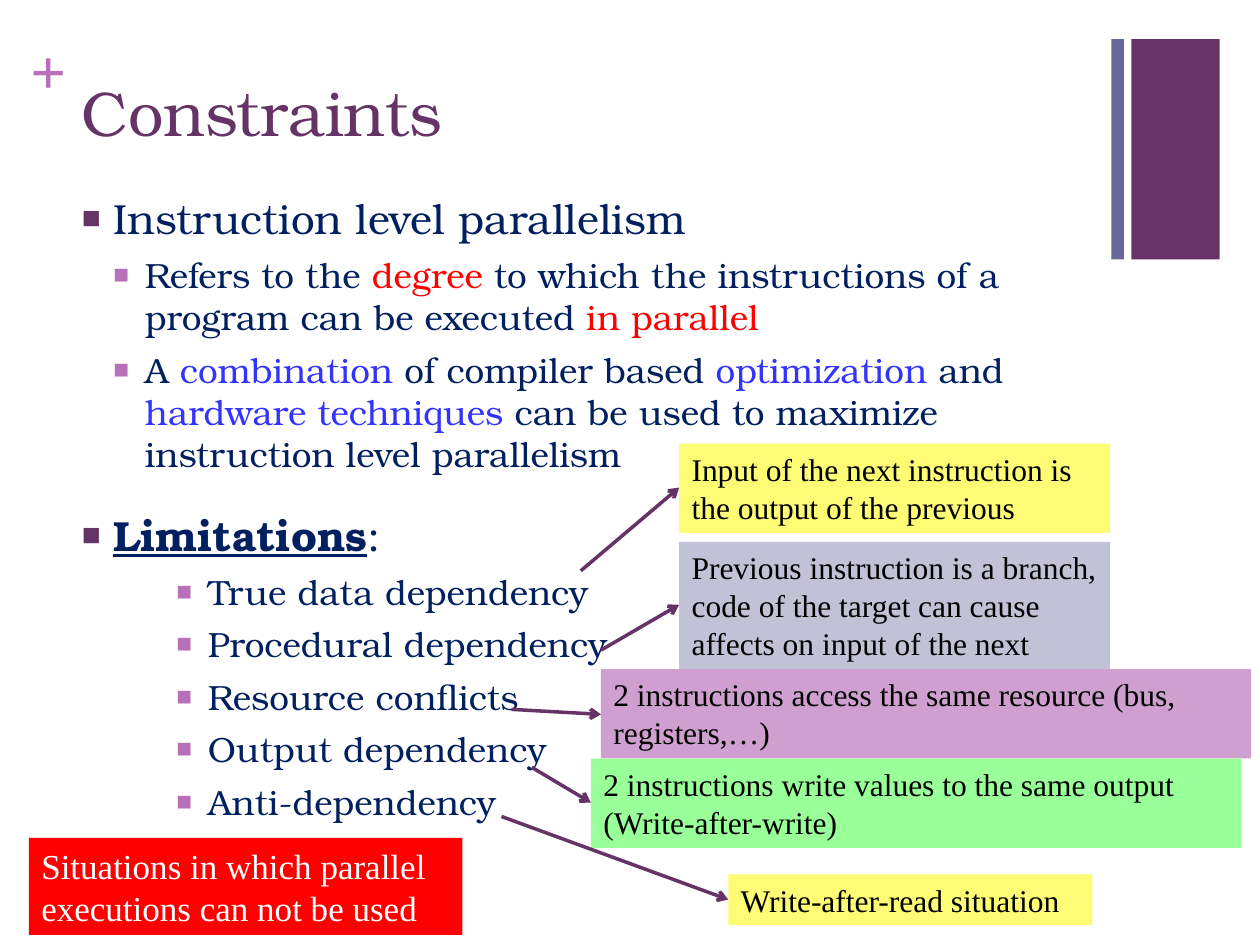
from dataclasses import dataclass
from typing import Optional

from lxml import etree
from pptx import Presentation
from pptx import util as u
from pptx.dml.color import RGBColor
from pptx.enum import shapes, text
from pptx.oxml import ns

PX = 9144  # EMU in one px, 100 px to the inch
SERIF, TIMES = "TeX Gyre Bonum", "Times New Roman"
COLORS = {
    "plum": "663366", "slate": "666699", "orchid": "B870B8", "navy": "002060",
    "red": "FF0000", "blue": "3333FF", "yellow": "FEFC75", "lavender": "C2C2D6",
    "mauve": "CFA0CF", "green": "99FF99", "black": "000000", "white": "FFFFFF",
}


@dataclass(frozen=True)
class Span:
    text: str
    color: str = "navy"
    strong: bool = False


@dataclass(frozen=True)
class Item:
    level: int
    spans: tuple[Span, ...]


@dataclass(frozen=True)
class Callout:
    text: str
    area: tuple[int, int, int, int]
    fill: str
    arrow: Optional[tuple[int, int, int, int]] = None
    color: str = "black"
    size: int = 18


LIMITATIONS = ("True data dependency", "Procedural dependency", "Resource conflicts",
               "Output dependency", "Anti-dependency")
ITEMS = [
    Item(0, (Span("Instruction level parallelism"),)),
    Item(1, (Span("Refers to the "), Span("degree", "red"),
             Span(" to which the instructions of a program can be executed "),
             Span("in parallel", "red"))),
    Item(1, (Span("A "), Span("combination ", "blue"), Span("of compiler based "),
             Span("optimization", "blue"), Span(" and "),
             Span("hardware techniques ", "blue"),
             Span("can be used to maximize instruction level parallelism"))),
    Item(0, (Span("Limitations", strong=True), Span(":"))),
    *(Item(3, (Span(name),)) for name in LIMITATIONS),
]
CALLOUTS = [
    Callout("Input of the next instruction is the output of the previous",
            (539, 352, 342, 71), "yellow", (461, 453, 539, 387)),
    Callout("Previous instruction is a branch, code of the target can cause "
            "affects on input of the next",
            (539, 430, 342, 101), "lavender", (477, 516, 539, 480)),
    Callout("2 instructions access the same resource (bus, registers,…)",
            (477, 531, 516, 71), "mauve", (406, 563, 477, 567)),
    Callout("2 instructions write values to the same output (Write-after-write)",
            (469, 602, 516, 71), "green", (422, 609, 469, 637)),
    Callout("Write-after-read situation",
            (578, 694, 289, 40), "yellow", (398, 648, 578, 714)),
    Callout("Situations in which parallel executions can not be used",
            (23, 665, 344, 77), "red", color="white", size=20),
]


def rgb(name: str) -> RGBColor:
    return RGBColor.from_string(COLORS[name])


def emu(*lengths: int) -> list[int]:
    return [length * PX for length in lengths]


def add_span(para, words: str, font: str, size: int, color: str, strong=None):
    span = para.add_run()
    span.text = words
    span.font.name = font
    span.font.size = u.Pt(size)
    span.font.color.rgb = rgb(color)
    span.font.bold = strong
    return span


def add_block(page, area: tuple[int, int, int, int], fill: str):
    block = page.shapes.add_shape(shapes.MSO_SHAPE.RECTANGLE, *emu(*area))
    block.shadow.inherit = False
    block.fill.solid()
    block.fill.fore_color.rgb = rgb(fill)
    block.line.fill.background()
    return block


def prepare_placeholder(box, area: tuple[int, int, int, int]):
    """Move a placeholder and start its text at the top, unscaled."""
    box.left, box.top, box.width, box.height = emu(*area)
    frame = box.text_frame
    frame.word_wrap = True
    frame.auto_size = text.MSO_AUTO_SIZE.NONE
    frame.vertical_anchor = text.MSO_ANCHOR.TOP
    return frame


def set_bullet(para, level: int) -> None:
    properties = para._p.get_or_add_pPr()
    properties.set("marL", str(25 * (level + 1) * PX))
    properties.set("indent", str(-25 * PX))
    color = etree.SubElement(properties, ns.qn("a:buClr"))
    value = COLORS["orchid" if level else "plum"]
    etree.SubElement(color, ns.qn("a:srgbClr"), val=value)
    etree.SubElement(properties, ns.qn("a:buSzPct"), val="75000")
    etree.SubElement(properties, ns.qn("a:buChar"), char="■")


def add_item(para, item: Item) -> None:
    para.level = item.level
    para.alignment = text.PP_ALIGN.LEFT
    para.space_before = u.Pt(6 if item.level else 20)
    set_bullet(para, item.level)
    for part in item.spans:
        span = add_span(para, part.text, SERIF, 20 if item.level else 24,
                        part.color, part.strong)
        span.font.underline = part.strong


def add_arrow(page, ends: tuple[int, int, int, int]) -> None:
    arrow = page.shapes.add_connector(shapes.MSO_CONNECTOR.STRAIGHT, *emu(*ends))
    arrow.line.color.rgb = rgb("plum")
    arrow.line.width = u.Pt(2)
    etree.SubElement(arrow.line._get_or_add_ln(), ns.qn("a:tailEnd"), type="arrow")
    etree.SubElement(arrow._element.spPr, ns.qn("a:effectLst"))


def add_callout(page, callout: Callout) -> None:
    box = add_block(page, callout.area, callout.fill)
    frame = box.text_frame
    frame.word_wrap = True
    frame.vertical_anchor = text.MSO_ANCHOR.TOP
    para = frame.paragraphs[0]
    para.alignment = text.PP_ALIGN.LEFT
    add_span(para, callout.text, TIMES, callout.size, callout.color)
    if callout.arrow:
        add_arrow(page, callout.arrow)


def add_plus(page) -> None:
    frame = page.shapes.add_textbox(*emu(24, 25, 29, 61)).text_frame
    frame.margin_left = frame.margin_right = frame.margin_top = frame.margin_bottom = 0
    frame.word_wrap = True
    add_span(frame.paragraphs[0], "+", TIMES, 36, "orchid", True)


def main() -> None:
    deck = Presentation()
    deck.slide_width, deck.slide_height = emu(1000, 750)
    page = deck.slides.add_slide(deck.slide_layouts[1])

    add_block(page, (898, 31, 70, 175), "plum")
    add_block(page, (882, 31, 10, 175), "slate")
    add_plus(page)

    title = prepare_placeholder(page.shapes.title, (55, 53, 826, 122))
    title.paragraphs[0].alignment = text.PP_ALIGN.LEFT
    add_span(title.paragraphs[0], "Constraints", SERIF, 36, "plum")

    body = prepare_placeholder(page.placeholders[1], (55, 148, 826, 522))
    for index, item in enumerate(ITEMS):
        add_item(body.add_paragraph() if index else body.paragraphs[0], item)

    for callout in CALLOUTS:
        add_callout(page, callout)
    deck.save("out.pptx")


if __name__ == "__main__":
    main()
